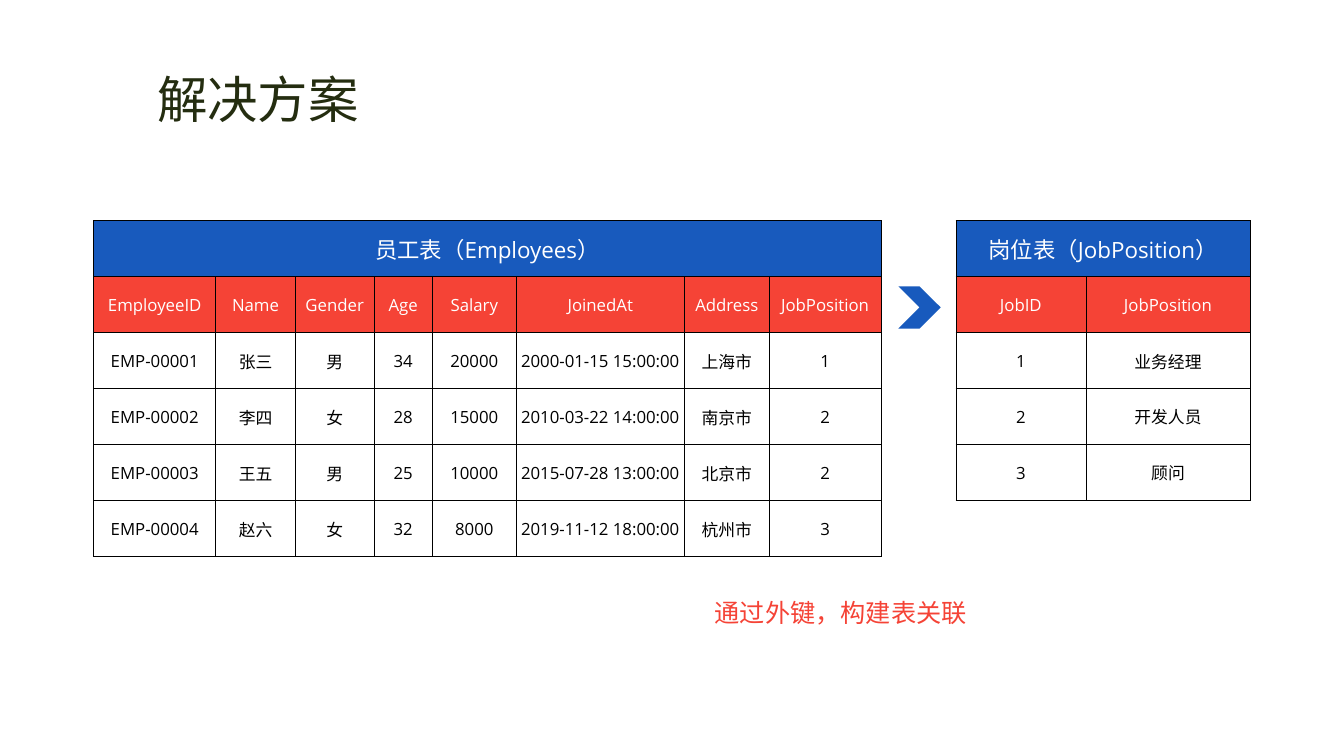
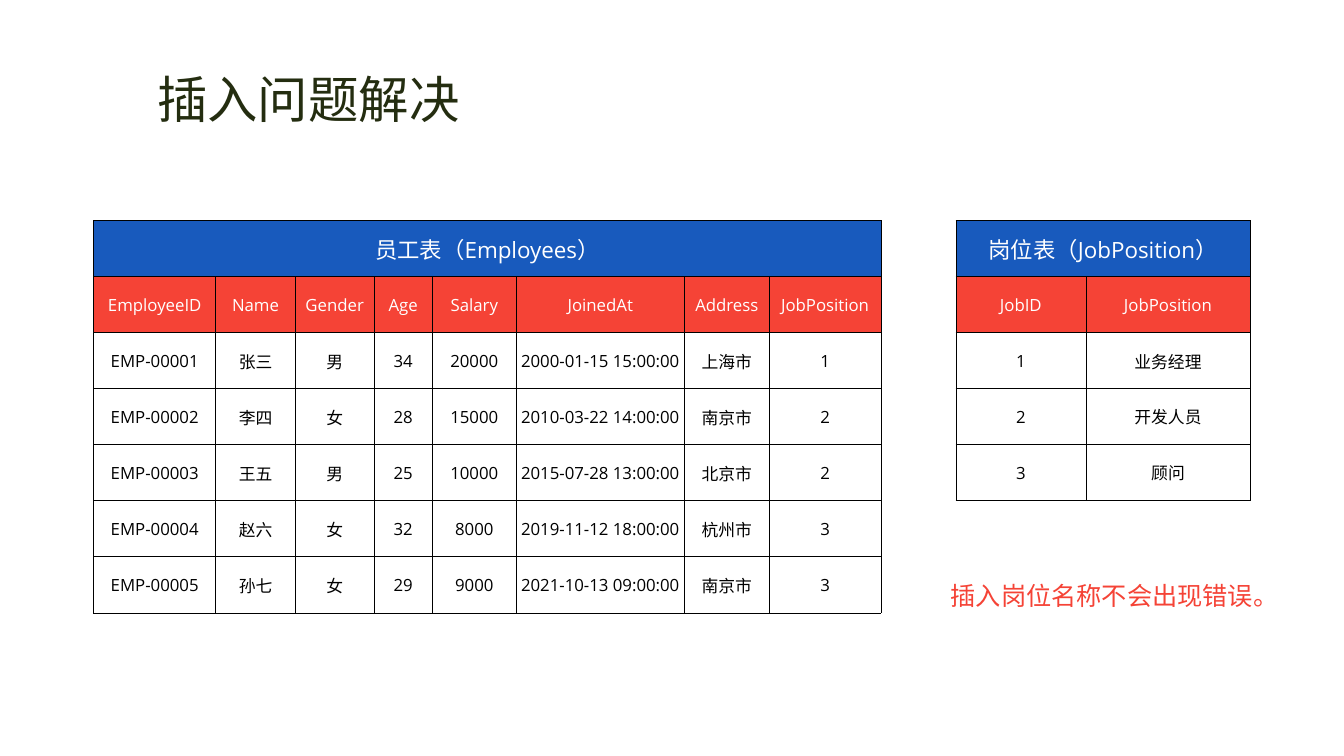
import pptx
import pptx.dml.color
import pptx.enum.shapes
import pptx.enum.text
import pptx.oxml
import pptx.oxml.ns
import pptx.util

PX = 9144  # EMU per px, 100 px to the inch
FONT = "Open Sans"
INK = {"title": "242D10", "blue": "185ABD", "red": "F54336",
       "white": "FFFFFF", "black": "000000"}
EDGE = ('<a:{} %s w="6350"><a:solidFill><a:srgbClr val="%s"/></a:solidFill></a:{}>'
        % (pptx.oxml.ns.nsdecls("a"), INK["black"]))


def rgb(name):
    return pptx.dml.color.RGBColor.from_string(INK[name])


class Deck:
    def __init__(self):
        self.prs = pptx.Presentation()
        self.prs.slide_width, self.prs.slide_height = 1333 * PX, 750 * PX
        self.slide = None

    def page(self, title):
        self.slide = self.prs.slides.add_slide(self.prs.slide_layouts[6])
        self.text(title, 146, 63, 22 + 50 * len(title), 71, 36, "title", wrap=False)

    def style(self, para, size, color):
        font = para.font
        font.name, font.size = FONT, pptx.util.Pt(size)
        font.color.rgb = rgb(color)

    def text(self, words, x, y, w, h, size, color, wrap=True, space=None):
        box = self.slide.shapes.add_textbox(x * PX, y * PX, w * PX, h * PX)
        frame = box.text_frame
        frame.word_wrap = wrap
        frame.auto_size = pptx.enum.text.MSO_AUTO_SIZE.SHAPE_TO_FIT_TEXT
        para = frame.paragraphs[0]
        para.text = words
        para.line_spacing = space
        self.style(para, size, color)

    def note(self, words, x, y, w):
        self.text(words, x, y, w, 51, 18, "red", space=1.5)

    def arrow(self, x, y, size):
        kind = pptx.enum.shapes.MSO_SHAPE.CHEVRON
        mark = self.slide.shapes.add_shape(kind, x * PX, y * PX, size * PX, size * PX)
        mark.shadow.inherit = False
        mark.fill.solid()
        mark.fill.fore_color.rgb = rgb("blue")
        mark.line.fill.background()

    def cell(self, cell, words, size, color, fill):
        cell.margin_left = cell.margin_right = cell.margin_top = PX
        cell.margin_bottom = 0
        cell.vertical_anchor = pptx.enum.text.MSO_ANCHOR.MIDDLE
        props = cell._tc.get_or_add_tcPr()
        for side in ("lnL", "lnR", "lnT", "lnB"):
            props.append(pptx.oxml.parse_xml(EDGE.format(side, side)))
        if fill:
            cell.fill.solid()
            cell.fill.fore_color.rgb = rgb(fill)
        else:
            cell.fill.background()
        para = cell.text_frame.paragraphs[0]
        para.text = words
        para.alignment = pptx.enum.text.PP_ALIGN.CENTER
        self.style(para, size, color)

    def table(self, x, y, h, cols, rows, title=None, head=None):
        looks = [(12, "black", None)] * len(rows)
        if title:
            band = [title] + [""] * (len(cols) - 1)
            rows = [band, head] + rows
            looks = [(16, "white", "blue"), (12, "white", "red")] + looks
        grid = self.slide.shapes.add_table(
            len(rows), len(cols), x * PX, y * PX, sum(cols) * PX, h * PX).table
        grid.first_row = grid.horz_banding = False
        for col, width in zip(grid.columns, cols):
            col.width = width * PX
        for r, (row, look) in enumerate(zip(rows, looks)):
            for c, words in enumerate(row):
                self.cell(grid.cell(r, c), words, *look)
        if title:
            grid.cell(0, 0).merge(grid.cell(0, len(cols) - 1))


# Table data
STAFF_COLS = [121, 79, 78, 58, 83, 167, 84, 111]
STAFF_HEAD = ["EmployeeID", "Name", "Gender", "Age", "Salary", "JoinedAt",
              "Address", "JobPosition"]
STAFF = [
    ["EMP-00001", "张三", "男", "34", "20000", "2000-01-15 15:00:00", "上海市", "1"],
    ["EMP-00002", "李四", "女", "28", "15000", "2010-03-22 14:00:00", "南京市", "2"],
    ["EMP-00003", "王五", "男", "25", "10000", "2015-07-28 13:00:00", "北京市", "2"],
    ["EMP-00004", "赵六", "女", "32", "8000", "2019-11-12 18:00:00", "杭州市", "3"],
]
ADDED = ["EMP-00005", "孙七", "女", "29", "9000", "2021-10-13 09:00:00", "南京市", "3"]
JOBS = [["1", "业务经理"], ["2", "开发人员"], ["3", "顾问"]]


def tables(deck):
    deck.table(93, 219, 333, STAFF_COLS, STAFF, "员工表（Employees）", STAFF_HEAD)
    deck.table(948, 219, 277, [129, 163], JOBS, "岗位表（JobPosition）",
               ["JobID", "JobPosition"])


def main():
    deck = Deck()

    # Split into two linked tables
    deck.page("解决方案")
    tables(deck)
    deck.arrow(891, 284, 42)
    deck.note("通过外键，构建表关联", 699, 573, 273)

    # Insert a new employee
    deck.page("插入问题解决")
    tables(deck)
    deck.table(93, 552, 56, STAFF_COLS, [ADDED])
    deck.note("插入岗位名称不会出现错误。", 933, 556, 338)

    deck.prs.save("out.pptx")


if __name__ == "__main__":
    main()
